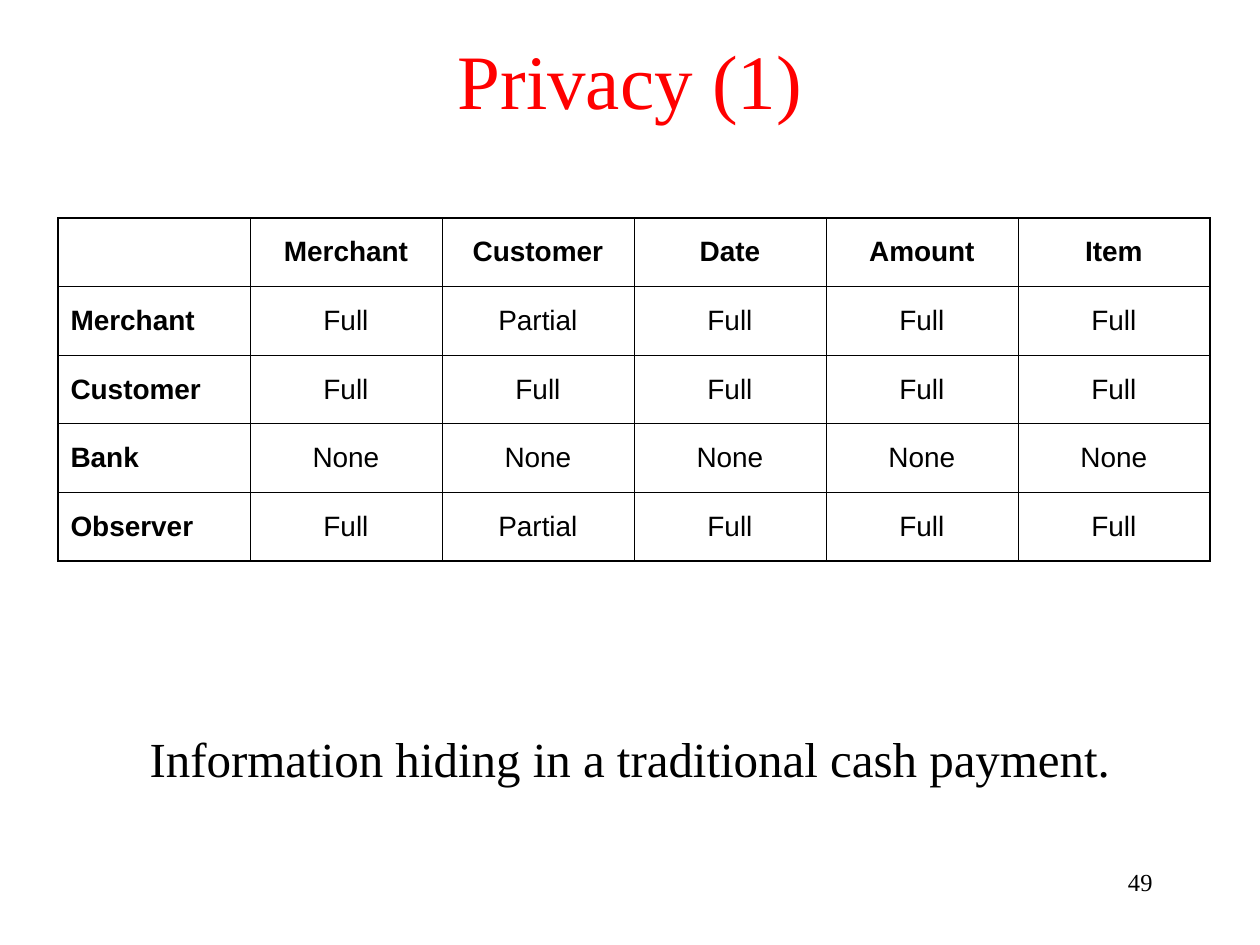
import dataclasses

import pptx
import pptx.dml.color
import pptx.enum.text
import pptx.oxml
import pptx.oxml.ns
import pptx.util

PX = 914400 // 126
COLORS = {"title": "FF0000", "text": "000000", "border": "000000"}
SERIF, SANS = "Times New Roman", "Arial"
ALIGN = pptx.enum.text.PP_ALIGN
ANCHOR = pptx.enum.text.MSO_ANCHOR
OUTER, INNER = 1.08, 0.45  # border widths in points

ROWS = [
    ["", "Merchant", "Customer", "Date", "Amount", "Item"],
    ["Merchant", "Full", "Partial", "Full", "Full", "Full"],
    ["Customer", "Full", "Full", "Full", "Full", "Full"],
    ["Bank", "None", "None", "None", "None", "None"],
    ["Observer", "Full", "Partial", "Full", "Full", "Full"],
]


@dataclasses.dataclass(frozen=True)
class Box:
    left: int
    top: int
    width: int
    height: int

    def emu(self) -> list[int]:
        return [v * PX for v in dataclasses.astuple(self)]


@dataclasses.dataclass(frozen=True)
class Style:
    size: int
    font: str
    color: str = "text"
    align: ALIGN = ALIGN.CENTER
    bold: bool = False


def write(p, text: str, style: Style) -> None:
    p.alignment = style.align
    r = p.add_run()
    r.text = text
    r.font.size = pptx.util.Pt(style.size)
    r.font.name = style.font
    r.font.bold = style.bold
    r.font.color.rgb = pptx.dml.color.RGBColor.from_string(COLORS[style.color])


def place_text(sp, box: Box, text: str, style: Style, anchor: ANCHOR) -> None:
    sp.left, sp.top, sp.width, sp.height = box.emu()
    tf = sp.text_frame
    tf.word_wrap = True
    tf.auto_size = pptx.enum.text.MSO_AUTO_SIZE.NONE
    tf.vertical_anchor = anchor
    p = tf.paragraphs[0]
    p.space_before = pptx.util.Pt(0)
    write(p, text, style)


def remove_bullet(p) -> None:
    p_pr = p._p.get_or_add_pPr()
    p_pr.set("marL", "0")
    p_pr.set("indent", "0")
    p_pr.append(pptx.oxml.parse_xml(f'<a:buNone {pptx.oxml.ns.nsdecls("a")}/>'))


def set_border(cell, side: str, width: float) -> None:
    """Draw one side (L, R, T or B) of a cell."""
    cell._tc.get_or_add_tcPr().append(pptx.oxml.parse_xml(
        f'<a:ln{side} {pptx.oxml.ns.nsdecls("a")} w="{pptx.util.Pt(width)}">'
        f'<a:solidFill><a:srgbClr val="{COLORS["border"]}"/></a:solidFill>'
        f'</a:ln{side}>'))


def add_grid(s, box: Box, rows: list[list[str]]) -> None:
    n_rows, n_cols = len(rows), len(rows[0])
    table = s.shapes.add_table(n_rows, n_cols, *box.emu()).table
    for i, row in enumerate(rows):
        for j, text in enumerate(row):
            cell = table.cell(i, j)
            outer = {"L": j == 0, "R": j == n_cols - 1,
                     "T": i == 0, "B": i == n_rows - 1}
            for side, is_outer in outer.items():
                set_border(cell, side, OUTER if is_outer else INNER)
            cell.fill.background()
            cell.vertical_anchor = ANCHOR.MIDDLE
            if text:
                align = ALIGN.LEFT if j == 0 else ALIGN.CENTER
                write(cell.text_frame.paragraphs[0], text,
                      Style(16, SANS, align=align, bold=i == 0 or j == 0))


def main() -> None:
    prs = pptx.Presentation()
    prs.slide_width, prs.slide_height = 1260 * PX, 945 * PX
    s = prs.slides.add_slide(prs.slide_layouts[1])

    place_text(s.shapes.title, Box(0, 0, 1260, 158), "Privacy (1)",
               Style(44, SERIF, "title"), ANCHOR.MIDDLE)

    caption = s.placeholders[1]
    remove_bullet(caption.text_frame.paragraphs[0])
    place_text(caption, Box(0, 722, 1260, 116),
               "Information hiding in a traditional cash payment.",
               Style(28, SERIF), ANCHOR.TOP)

    add_grid(s, Box(58, 218, 1152, 343), ROWS)

    number_box = Box(903, 861, 262, 63)
    number = s.shapes.add_textbox(*number_box.emu())
    place_text(number, number_box, "49",
               Style(14, SERIF, align=ALIGN.RIGHT), ANCHOR.TOP)

    prs.save("out.pptx")


if __name__ == "__main__":
    main()
